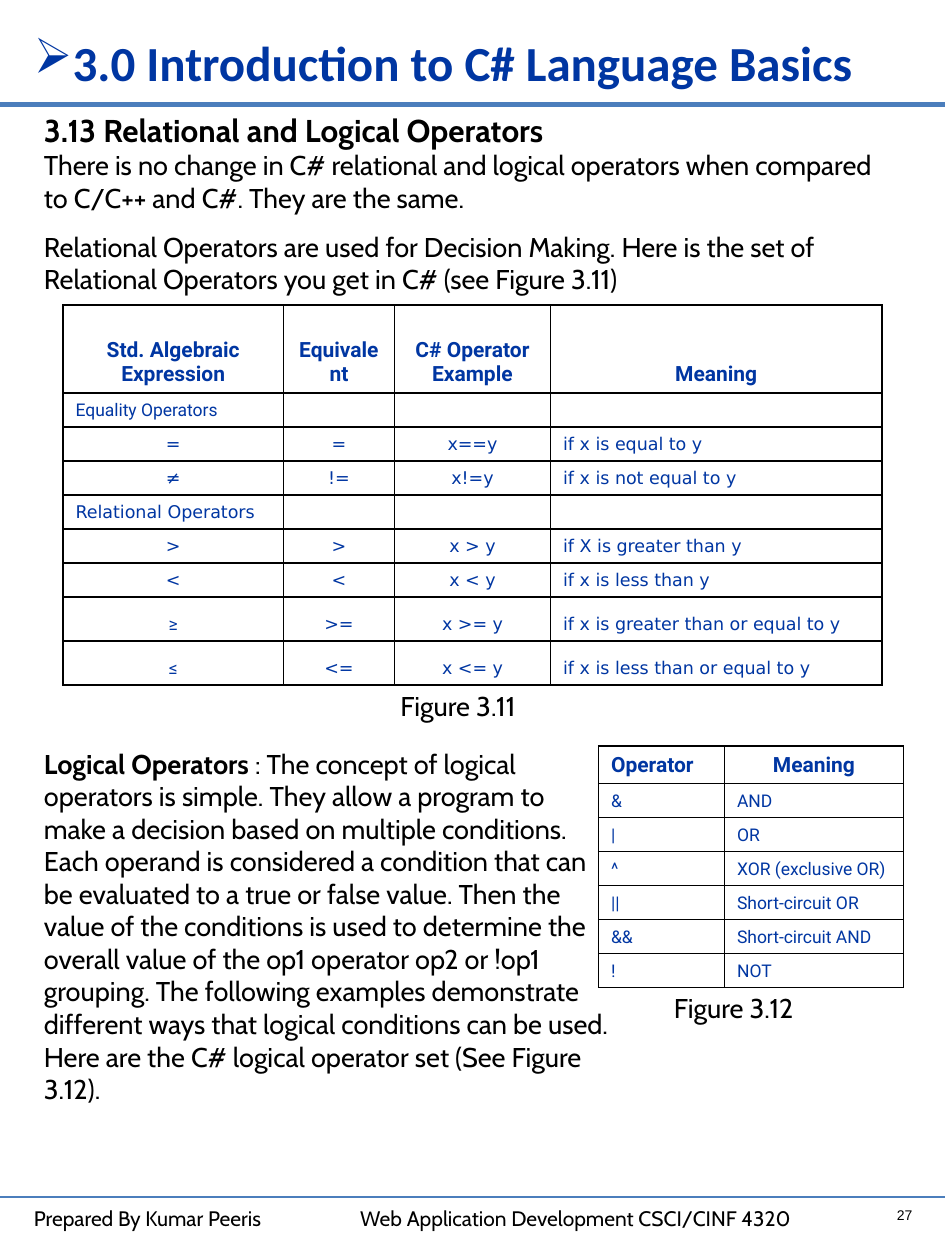
"""Build the slide on C# relational and logical operators."""
from dataclasses import dataclass, field

from lxml import etree
from pptx import Presentation
from pptx import util as u
from pptx.dml.color import RGBColor
from pptx.enum import shapes, text
from pptx.oxml import ns

BLACK = RGBColor(0x00, 0x00, 0x00)
WHITE = RGBColor(0xFF, 0xFF, 0xFF)
NAVY = RGBColor(0x00, 0x36, 0xA2)
RULE_BLUE = RGBColor(0x4B, 0x7E, 0xBC)

LEFT, CENTER, RIGHT = text.PP_ALIGN.LEFT, text.PP_ALIGN.CENTER, text.PP_ALIGN.RIGHT
TOP, BOTTOM = text.MSO_ANCHOR.TOP, text.MSO_ANCHOR.BOTTOM


@dataclass(frozen=True)
class Style:
    name: str
    size: float
    color: RGBColor = BLACK
    bold: bool = False


TITLE = Style("Calibri", 28, NAVY, True)
HEADING = Style("Cabin", 18, bold=True)
BODY = Style("Cabin", 15.5)
STRONG = Style("Cabin", 15.5, bold=True)
FOOTER = Style("Cabin", 12)
NUMBER = Style("Arial", 8)
TABLE_HEAD = Style("Roboto", 12, NAVY, True)
TABLE_TEXT = Style("Roboto", 10, NAVY)
TABLE_CODE = Style("DejaVu Sans", 10, NAVY)


@dataclass(frozen=True)
class Line:
    runs: list[tuple[str, Style]]
    align: text.PP_ALIGN = LEFT
    before: float = 0
    bullet: str = ""
    tab: float = 0


@dataclass(frozen=True)
class TextBox:
    left: float
    top: float
    width: float
    height: float
    lines: list[Line]
    anchor: text.MSO_ANCHOR = TOP


@dataclass(frozen=True)
class Rule:
    top: float
    weight: float


@dataclass(frozen=True)
class Grid:
    left: float
    top: float
    columns: list[float]
    heights: list[float]
    rows: list[list[Line]] = field(default_factory=list)


def line(words: str, style: Style = BODY, **options) -> Line:
    return Line([(words, style)], **options)


def write_line(paragraph, content: Line) -> None:
    properties = paragraph._p.get_or_add_pPr()
    if content.bullet:
        etree.SubElement(properties, ns.qn("a:buChar"), char=content.bullet)
    if content.tab:
        tabs = etree.SubElement(properties, ns.qn("a:tabLst"))
        etree.SubElement(tabs, ns.qn("a:tab"), pos=str(u.Inches(content.tab)), algn="l")
    paragraph.alignment = content.align
    if content.before:
        paragraph.space_before = u.Pt(content.before)
    for words, style in content.runs:
        run = paragraph.add_run()
        run.text = words
        values = {"name": style.name, "size": u.Pt(style.size), "bold": style.bold}
        for key, value in values.items():
            setattr(run.font, key, value)
        run.font.color.rgb = style.color


def draw_text(slide, box: TextBox) -> None:
    lengths = (u.Inches(n) for n in (box.left, box.top, box.width, box.height))
    frame = slide.shapes.add_textbox(*lengths).text_frame
    for key, value in {"word_wrap": True, "vertical_anchor": box.anchor}.items():
        setattr(frame, key, value)
    for index, content in enumerate(box.lines):
        write_line(frame.add_paragraph() if index else frame.paragraphs[0], content)


def draw_rule(slide, rule: Rule) -> None:
    top = u.Inches(rule.top)
    connector = slide.shapes.add_connector(
        shapes.MSO_CONNECTOR.STRAIGHT, 0, top, u.Inches(7.5), top)
    connector.line.color.rgb = RULE_BLUE
    connector.line.width = u.Pt(rule.weight)
    etree.SubElement(connector._element.spPr, ns.qn("a:effectLst"))


def add_borders(cell) -> None:
    properties = cell._tc.get_or_add_tcPr()
    for side in ("lnL", "lnR", "lnT", "lnB"):
        border = etree.SubElement(properties, ns.qn(f"a:{side}"), w=str(u.Pt(1)))
        fill = etree.SubElement(border, ns.qn("a:solidFill"))
        etree.SubElement(fill, ns.qn("a:srgbClr"), val=str(BLACK))


def draw_grid(slide, grid: Grid) -> None:
    table = slide.shapes.add_table(
        len(grid.heights), len(grid.columns), u.Inches(grid.left), u.Inches(grid.top),
        u.Inches(sum(grid.columns)), u.Inches(sum(grid.heights))).table
    for column, width in zip(table.columns, grid.columns):
        column.width = u.Inches(width)
    for row, height, contents in zip(table.rows, grid.heights, grid.rows):
        row.height = u.Inches(height)
        for index, cell in enumerate(row.cells):
            add_borders(cell)
            cell.fill.solid()
            cell.fill.fore_color.rgb = WHITE
            cell.vertical_anchor = BOTTOM
            paragraph = cell.text_frame.paragraphs[0]
            if index < len(contents):
                write_line(paragraph, contents[index])
            else:
                ending = etree.SubElement(paragraph._p, ns.qn("a:endParaRPr"))
                ending.set("sz", "1000")


def comparison(symbol: str, operator: str, meaning: str, example: str,
               symbol_style: Style = TABLE_CODE) -> list[Line]:
    return [line(symbol, symbol_style, align=CENTER),
            line(operator, TABLE_CODE, align=CENTER),
            line(example, TABLE_CODE, align=CENTER),
            line(f"if x is {meaning} y" if operator != ">" else f"if X is {meaning} y",
                 TABLE_CODE)]


RELATIONAL = Grid(0.5, 2.42, [1.75, 0.88, 1.24, 2.63], [0.7] + [0.27] * 6 + [0.35] * 2, [
    [line(words, TABLE_HEAD, align=CENTER) for words in
     ("Std. Algebraic Expression", "Equivalent", "C# Operator Example", "Meaning")],
    [line("Equality Operators", TABLE_TEXT)],
    comparison("=", "=", "equal to", "x==y"),
    comparison("≠", "!=", "not equal to", "x!=y"),
    [line("Relational Operators", TABLE_CODE)],
    comparison(">", ">", "greater than", "x > y"),
    comparison("<", "<", "less than", "x < y"),
    comparison("≥", ">=", "greater than or equal to", "x >= y", TABLE_TEXT),
    comparison("≤", "<=", "less than or equal to", "x <= y", TABLE_TEXT),
])

LOGICAL = Grid(4.75, 5.92, [1, 1.42], [0.3] + [0.27] * 6, [
    [line("Operator", TABLE_HEAD), line("Meaning", TABLE_HEAD, align=CENTER)],
    *([line(operator, TABLE_TEXT), line(meaning, TABLE_TEXT)] for operator, meaning in (
        ("&", "AND"), ("|", "OR"), ("^", "XOR (exclusive OR)"),
        ("||", "Short-circuit OR"), ("&&", "Short-circuit AND"), ("!", "NOT"))),
])

TEXT_BOXES = [
    TextBox(0.17, 0.21, 7.08, 0.57,
            [line("3.0 Introduction to C# Language Basics", TITLE, bullet="➢")]),
    TextBox(0.25, 0.83, 7.1, 1.67, [
        line("3.13 Relational and Logical Operators", HEADING),
        line("There is no change in C# relational and logical operators when compared"),
        line("to C/C++ and C#. They are the same."),
        line("Relational Operators are used for Decision Making. Here is the set of", before=9.5),
        line("Relational Operators you get in C# (see Figure 3.11)")]),
    TextBox(3.08, 5.42, 1.25, 0.33, [line("Figure 3.11")]),
    TextBox(0.25, 5.88, 4.92, 3.04, [
        Line([("Logical Operators ", STRONG), (": The concept of logical", BODY)]),
        *map(line, (
            "operators is simple. They allow a program to",
            "make a decision based on multiple conditions.",
            "Each operand is considered a condition that can",
            "be evaluated to a true or false value. Then the",
            "value of the conditions is used to determine the",
            "overall value of the op1 operator op2 or !op1",
            "grouping. The following examples demonstrate",
            "different ways that logical conditions can be used.",
            "Here are the C# logical operator set (See Figure",
            "3.12)."))]),
    TextBox(5.25, 7.82, 1.25, 0.33, [line("Figure 3.12")]),
    TextBox(0.17, 9.52, 7, 0.3, [line(
        "Prepared By Kumar Peeris\tWeb Application Development CSCI/CINF 4320",
        FOOTER, tab=2.59)]),
    TextBox(6.88, 9.33, 0.46, 0.43, [line("27", NUMBER, align=RIGHT)], BOTTOM),
]


def main() -> None:
    presentation = Presentation()
    presentation.slide_width, presentation.slide_height = u.Inches(7.5), u.Inches(10)
    slide = presentation.slides.add_slide(presentation.slide_layouts[6])
    for rule in (Rule(0.83, 3.25), Rule(9.5, 0.75)):
        draw_rule(slide, rule)
    for grid in (RELATIONAL, LOGICAL):
        draw_grid(slide, grid)
    for box in TEXT_BOXES:
        draw_text(slide, box)
    presentation.save("out.pptx")


if __name__ == "__main__":
    main()
